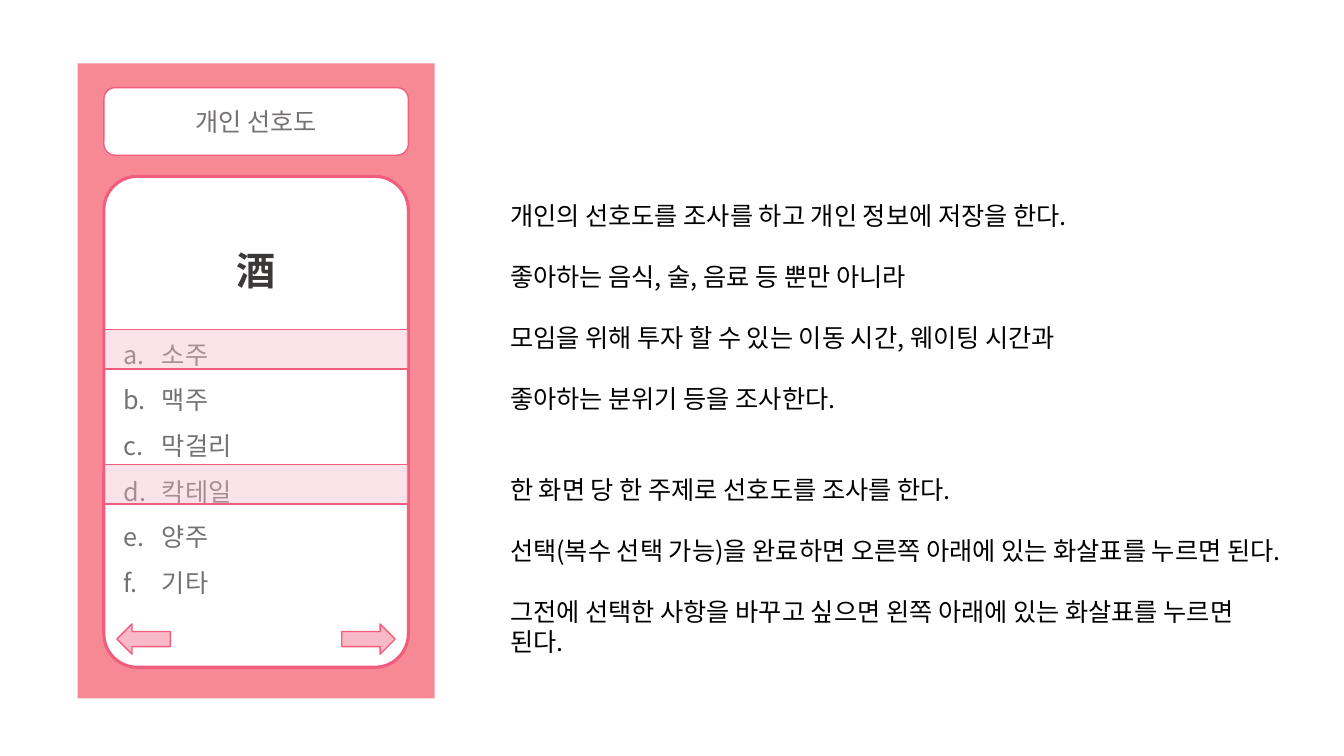
import pptx
import pptx.util
import pptx.dml.color
import pptx.enum.shapes
import pptx.enum.text
import pptx.oxml
import pptx.oxml.ns
import lxml.etree

Inches = pptx.util.Inches
Pt = pptx.util.Pt
RGBColor = pptx.dml.color.RGBColor
Shape = pptx.enum.shapes.MSO_SHAPE
Align = pptx.enum.text.PP_ALIGN
qn = pptx.oxml.ns.qn

FONT = "Noto Sans CJK KR"
CORAL = RGBColor(0xF5, 0x73, 0x7F)
ROSE = RGBColor(0xF1, 0x5D, 0x7D)
PINK = RGBColor(0xF9, 0xB9, 0xC7)
WHITE = RGBColor(0xFF, 0xFF, 0xFF)
CHARCOAL = RGBColor(0x3B, 0x38, 0x38)
GRAY = RGBColor(0x76, 0x71, 0x71)
BLACK = RGBColor(0, 0, 0)
LINE = 21.7

DRINKS = ["소주", "맥주", "막걸리", "칵테일", "양주", "기타"]
SELECTED_TOPS = [2.64, 3.98]
NOTES = [
    ("개인의 선호도를 조사를 하고 개인 정보에 저장을 한다.", 0),
    ("좋아하는 음식, 술, 음료 등 뿐만 아니라", 1),
    ("모임을 위해 투자 할 수 있는 이동 시간, 웨이팅 시간과", 1),
    ("좋아하는 분위기 등을 조사한다.", 1),
    ("한 화면 당 한 주제로 선호도를 조사를 한다.", 2),
    ("선택(복수 선택 가능)을 완료하면 오른쪽 아래에 있는 화살표를 누르면 된다.", 1),
    ("그전에 선택한 사항을 바꾸고 싶으면 왼쪽 아래에 있는 화살표를 누르면 된다.", 1),
]


def add_box(page, kind, box, fill, line=None, width=1, opacity=100):
    shape = page.shapes.add_shape(kind, *[Inches(length) for length in box])
    shape.shadow.inherit = False
    shape.fill.solid()
    shape.fill.fore_color.rgb = fill
    if opacity < 100:
        color = shape.fill._xPr.find(qn("a:solidFill"))[0]
        lxml.etree.SubElement(color, qn("a:alpha"), val=str(opacity * 1000))
    if line is None:
        shape.line.fill.background()
    else:
        shape.line.color.rgb = line
        shape.line.width = Pt(width)
    return shape


def write_text(frame, text, size=18, color=GRAY, bold=False, align=Align.LEFT,
               spacing=LINE, before=0, after=0, lettered=False):
    para = frame.paragraphs[0]
    if para.runs:
        para = frame.add_paragraph()
    para.alignment = align
    para.line_spacing = Pt(spacing)
    para.space_before = Pt(before)
    para.space_after = Pt(after)
    if lettered:
        properties = para._p.get_or_add_pPr()
        properties.set("marL", str(Inches(0.38)))
        properties.set("indent", str(-Inches(0.38)))
        lxml.etree.SubElement(properties, qn("a:buFont"), typeface=FONT)
        lxml.etree.SubElement(properties, qn("a:buAutoNum"), type="alphaLcPeriod")
    span = para.add_run()
    span.text = text
    span.font.size = Pt(size)
    span.font.bold = bold
    span.font.color.rgb = color
    span.font.name = FONT
    lxml.etree.SubElement(span._r.get_or_add_rPr(), qn("a:ea"), typeface=FONT)


def add_phone_screen(page, left, top, width, height):
    add_box(page, Shape.RECTANGLE, (left, top, width, height), CORAL, opacity=84)
    inner_left, inner_width = left + 0.26, width - 0.52

    card = add_box(page, Shape.ROUNDED_RECTANGLE,
                   (inner_left, top + 1.12, inner_width, height - 1.43), WHITE, ROSE, 2.25)
    card.adjustments[0] = 0.11
    frame = card.text_frame
    frame.word_wrap = True
    frame.vertical_anchor = pptx.enum.text.MSO_ANCHOR.MIDDLE
    write_text(frame, "酒", size=28, color=CHARCOAL, bold=True,
               align=Align.CENTER, spacing=33.6, after=LINE)
    for drink in DRINKS:
        write_text(frame, drink, spacing=1.5 * LINE, lettered=True)

    header = add_box(page, Shape.ROUNDED_RECTANGLE,
                     (inner_left, top + 0.24, inner_width, 0.67), WHITE, ROSE)
    header.text_frame.vertical_anchor = pptx.enum.text.MSO_ANCHOR.MIDDLE
    write_text(header.text_frame, "개인 선호도", align=Align.CENTER)

    arrow_width, margin = 0.53, 0.13
    arrow_top = top + height - 0.74
    next_left = inner_left + inner_width - margin - arrow_width
    for kind, arrow_left in [(Shape.RIGHT_ARROW, next_left),
                             (Shape.LEFT_ARROW, inner_left + margin)]:
        add_box(page, kind, (arrow_left, arrow_top, arrow_width, 0.3), PINK, ROSE)

    for offset in SELECTED_TOPS:
        add_box(page, Shape.RECTANGLE, (inner_left, top + offset, inner_width, 0.39),
                PINK, ROSE, opacity=39)


def add_notes_column(page, left, top, width, height):
    box = page.shapes.add_textbox(Inches(left), Inches(top), Inches(width), Inches(height))
    box.text_frame.word_wrap = True
    for text, gap in NOTES:
        write_text(box.text_frame, text, color=BLACK, before=gap * LINE)


def main():
    deck = pptx.Presentation()
    deck.slide_width = Inches(13.33)
    deck.slide_height = Inches(7.5)
    page = deck.slides.add_slide(deck.slide_layouts[6])
    add_phone_screen(page, 0.77, 0.63, 3.54, 6.3)
    add_notes_column(page, 4.96, 1.94, 7.82, 5.25)
    deck.save("out.pptx")


if __name__ == "__main__":
    main()
